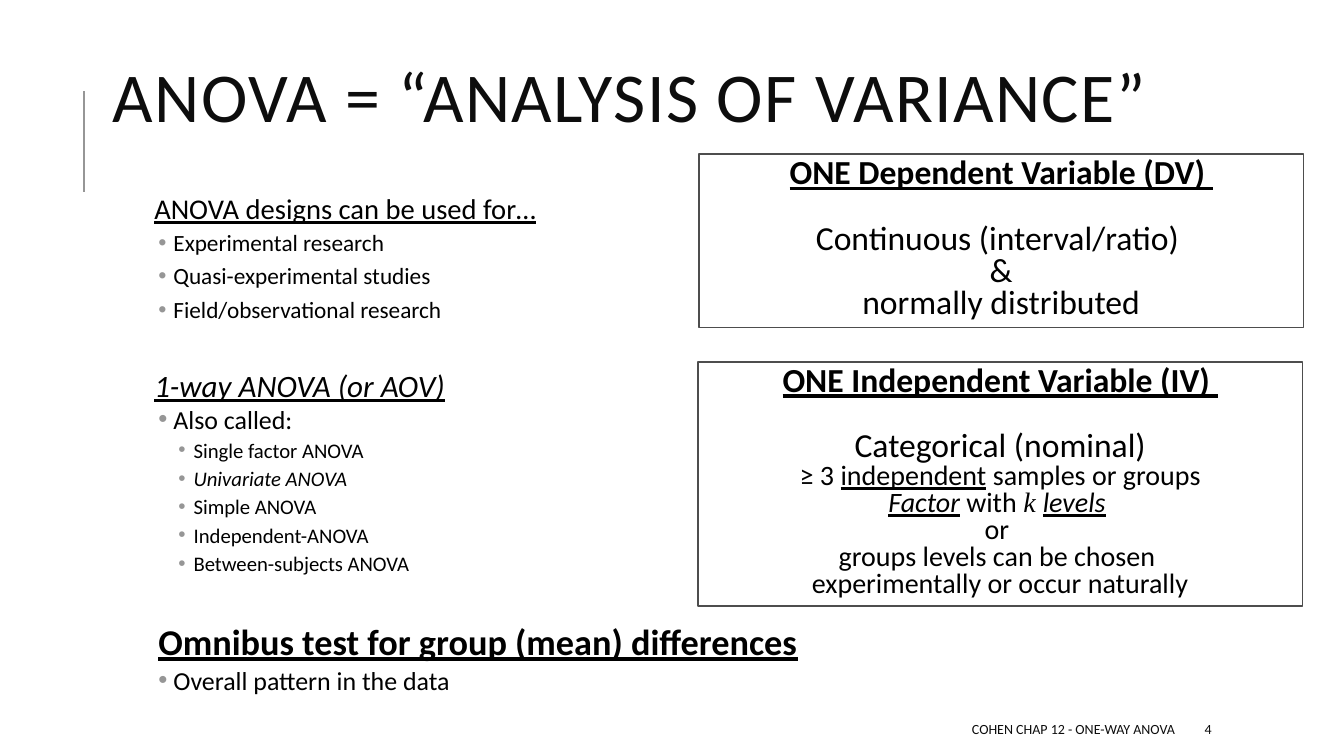
import pptx
import pptx.util
import pptx.dml.color
import pptx.enum.shapes
import pptx.enum.text
import pptx.oxml
import pptx.oxml.ns

Inches = pptx.util.Inches
Pt = pptx.util.Pt
ALIGN = pptx.enum.text.PP_ALIGN
ANCHOR = pptx.enum.text.MSO_ANCHOR
FIT = pptx.enum.text.MSO_AUTO_SIZE

COLOURS = {
    "paper": "FFFFFF",
    "text": "000000",
    "heading": "0D0D0D",
    "rule": "969696",
    "frame": "4D4D4D",
}


def rgb(name):
    return pptx.dml.color.RGBColor.from_string(COLOURS[name])


def apply(target, values):
    for name, value in values.items():
        setattr(target, name, value)


def add_child(parent, tag, **attributes):
    child = pptx.oxml.parse_xml(f"<a:{tag} {pptx.oxml.ns.nsdecls('a')}/>")
    for name, value in attributes.items():
        child.set(name, value)
    parent.append(child)
    return child


class SlideBuilder:
    font = "Calibri"

    def __init__(self, page):
        self.page = page

    def place(self, box, left, top, width, height):
        apply(box, dict(left=Inches(left), top=Inches(top),
                        width=Inches(width), height=Inches(height)))

    def add_spans(self, para, spans, colour="text", **base):
        for text, changes in spans:
            span = para.add_run()
            span.text = text
            values = {"name": self.font, "bold": False, "italic": False,
                      "underline": False, **base, **changes}
            values["size"] = Pt(values["size"])
            apply(span.font, values)
            span.font.color.rgb = rgb(colour)

    def paragraphs(self, frame, count):
        return [frame.paragraphs[0]] + [frame.add_paragraph() for _ in range(count - 1)]

    def title(self, text, *area):
        box = self.page.shapes.title
        self.place(box, *area)
        apply(box.text_frame, dict(vertical_anchor=ANCHOR.MIDDLE, word_wrap=True,
                                   auto_size=FIT.NONE))
        para = box.text_frame.paragraphs[0]
        apply(para, dict(alignment=ALIGN.LEFT, line_spacing=0.8))
        self.add_spans(para, [(text, {})], "heading", size=50)
        para.runs[0]._r.get_or_add_rPr().set("spc", "100")

    def outline(self, items, *area):
        box = self.page.placeholders[1]
        self.place(box, *area)
        frame = box.text_frame
        margins = {f"margin_{side}": Inches(0.05) for side in ("left", "top", "right", "bottom")}
        apply(frame, dict(vertical_anchor=ANCHOR.TOP, word_wrap=True,
                          auto_size=FIT.NONE, **margins))
        for para, item in zip(self.paragraphs(frame, len(items)), items):
            text, level, indent, before, after, spacing, style = item
            apply(para, dict(level=level, alignment=ALIGN.LEFT, line_spacing=spacing,
                             space_before=Pt(before), space_after=Pt(after)))
            bulleted = level > 0 and not style.get("bold")
            props = para._p.get_or_add_pPr()
            props.set("marL", str(Inches(indent)))
            props.set("indent", str(Inches(-0.15 if bulleted else 0)))
            if bulleted:
                colour = add_child(props, "buClr")
                add_child(colour, "srgbClr", val=COLOURS["rule"])
                add_child(props, "buChar", char="•")
            else:
                add_child(props, "buNone")
            self.add_spans(para, [(text, style)])

    def card(self, heading, lines, *area):
        box = self.page.shapes.add_shape(
            pptx.enum.shapes.MSO_SHAPE.RECTANGLE, *map(Inches, area))
        box.shadow.inherit = False
        box.fill.solid()
        box.fill.fore_color.rgb = rgb("paper")
        box.line.color.rgb = rgb("frame")
        box.line.width = Pt(1.25)
        frame = box.text_frame
        apply(frame, dict(vertical_anchor=ANCHOR.TOP, word_wrap=True,
                          auto_size=FIT.SHAPE_TO_FIT_TEXT))
        rows = [(24, [(heading, dict(bold=True, underline=True))])] + lines
        for index, (para, (size, spans)) in enumerate(
                zip(self.paragraphs(frame, len(rows)), rows)):
            apply(para, dict(alignment=ALIGN.CENTER, line_spacing=0.8,
                             space_before=Pt(23.4 if index == 1 else 0)))
            self.add_spans(para, spans, size=size)

    def label(self, text, alignment, *area):
        box = self.page.shapes.add_textbox(*map(Inches, area))
        apply(box.text_frame, dict(word_wrap=True, vertical_anchor=ANCHOR.MIDDLE))
        para = box.text_frame.paragraphs[0]
        para.alignment = alignment
        self.add_spans(para, [(text, {})], "heading", size=10)

    def rule(self, *ends):
        line = self.page.shapes.add_connector(
            pptx.enum.shapes.MSO_CONNECTOR.STRAIGHT, *map(Inches, ends))
        line.line.color.rgb = rgb("rule")
        line.line.width = Pt(1.5)
        add_child(line._element.spPr, "effectLst")


def topic(text, before, spacing, **style):
    return text, 0, 0.1, before, 2, spacing, dict(underline=True, **style)


def point(text, size, level=1, spacing=0.8, **style):
    return text, level, 0.09 + 0.2 * level, 2, 4, spacing, dict(size=size, **style)


def main():
    deck = pptx.Presentation()
    apply(deck, dict(slide_width=Inches(13.33), slide_height=Inches(7.5)))
    builder = SlideBuilder(deck.slides.add_slide(deck.slide_layouts[1]))

    builder.rule(0.83, 1.9, 0.83, 0.9)
    builder.title("ANOVA = “ANALYSIS OF VARIANCE”", 1.02, 0.2, 10.63, 1.64)

    uses = ["Experimental research", "Quasi-experimental studies", "Field/observational research"]
    names = ["Single factor ANOVA", "Univariate ANOVA", "Simple ANOVA",
             "Independent-ANOVA", "Between-subjects ANOVA"]
    builder.outline([
        topic("ANOVA designs can be used for…", 0, 0.9, size=20.4),
        *[point(use, 16.6, spacing=0.9) for use in uses],
        topic("1-way ANOVA (or AOV)", 32, 0.8, size=22.2, italic=True),
        point("Also called:", 18.5),
        *[point(name, 14.8, level=2, italic=name.startswith("Univariate")) for name in names],
        ("Omnibus test for group (mean) differences", 1, 0.14, 33, 4, 0.8,
         dict(size=25.9, bold=True, underline=True)),
        point("Overall pattern in the data", 18.5),
    ], 1.38, 1.88, 6.77, 5.19)

    builder.label("COHEN CHAP 12 - ONE-WAY ANOVA", ALIGN.RIGHT, 5.3, 7.08, 6.45, 0.3)
    builder.label("4", ALIGN.LEFT, 11.85, 7.08, 1.06, 0.3)

    builder.card("ONE Dependent Variable (DV) ", [
        (24, [("Continuous (interval/ratio) ", {})]),
        (24, [("&", {})]),
        (24, [("normally distributed", {})]),
    ], 6.93, 1.53, 6, 1.72)

    key_term = dict(italic=True, underline=True)
    builder.card("ONE Independent Variable (IV) ", [
        (24, [("Categorical (nominal)", {})]),
        (20, [("≥ 3 ", {}), ("independent", dict(underline=True)), (" samples or groups", {})]),
        (20, [("Factor", key_term), (" with ", {}),
              ("k ", dict(name="Times New Roman", italic=True)), ("levels", key_term), (" ", {})]),
        (20, [("or ", {})]),
        (20, [("groups levels can be chosen ", {})]),
        (20, [("experimentally or occur naturally", {})]),
    ], 6.92, 3.59, 6, 2.42)

    deck.save("out.pptx")


if __name__ == "__main__":
    main()
